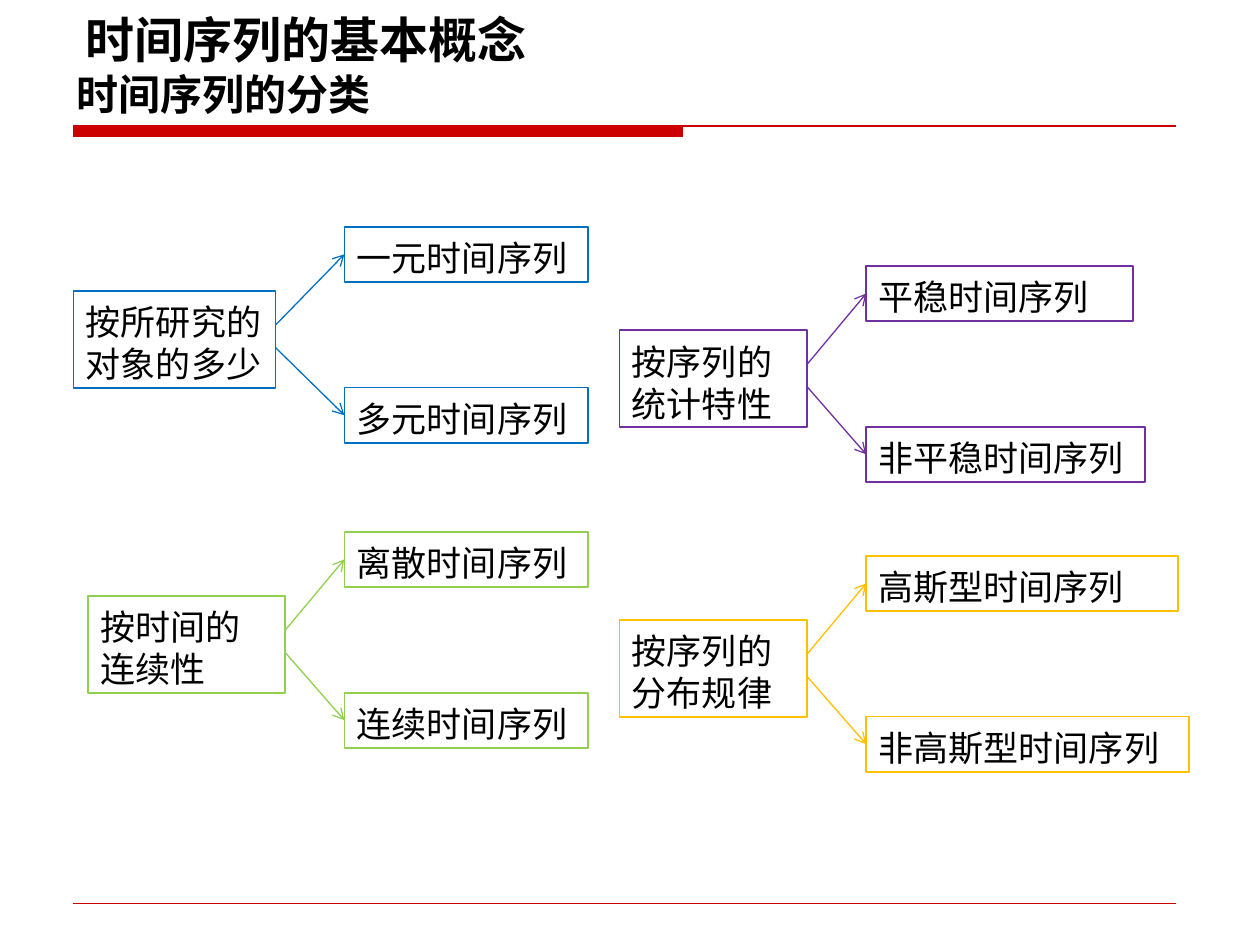
from dataclasses import dataclass

from lxml.etree import SubElement
from pptx import Presentation
from pptx.dml.color import RGBColor
from pptx.enum.shapes import MSO_CONNECTOR as Connector, MSO_SHAPE as Shape
from pptx.enum.text import MSO_ANCHOR as Anchor, PP_ALIGN as Align
from pptx.oxml.ns import qn
from pptx.util import Pt

FONT = "Noto Sans CJK SC"
BLACK = RGBColor(0x00, 0x00, 0x00)
RED = RGBColor(0xCC, 0x00, 0x00)
BLUE = RGBColor(0x00, 0x70, 0xC0)
GREEN = RGBColor(0x92, 0xD0, 0x50)
PURPLE = RGBColor(0x70, 0x30, 0xA0)
AMBER = RGBColor(0xFF, 0xC0, 0x00)

ROOT_HEIGHT, BRANCH_HEIGHT = 55.4, 31.5
LINE_PITCH = 24
# Offsets from the top of a root box: branch top, arrow start
BRANCH_OFFSETS = ((-36.7, 19.4), (55.2, 32.4))


@dataclass(frozen=True)
class Branch:
    text: str
    width: float


@dataclass(frozen=True)
class Classification:
    criterion: str
    color: RGBColor
    left: float
    top: float
    width: float
    branch_left: float
    branches: tuple[Branch, Branch]


CLASSIFICATIONS = (
    Classification("按所研究的对象的多少", BLUE, 42, 166.3, 115.5, 196.8,
                   (Branch("一元时间序列", 139.2), Branch("多元时间序列", 139.2))),
    Classification("按时间的连续性", GREEN, 50.5, 340.6, 112.6, 196.8,
                   (Branch("离散时间序列", 139.2), Branch("连续时间序列", 139.2))),
    Classification("按序列的统计特性", PURPLE, 354, 188.7, 107.3, 495,
                   (Branch("平稳时间序列", 152.6), Branch("非平稳时间序列", 159.2))),
    Classification("按序列的分布规律", AMBER, 354, 354.3, 107.3, 495,
                   (Branch("高斯型时间序列", 178), Branch("非高斯型时间序列", 184.5))),
)


def write_text(shape, text: str, size: float, bold: bool = False):
    """Fill the shape with one left-aligned paragraph and return it."""
    frame = shape.text_frame
    frame.word_wrap = True
    frame.text = text
    para = frame.paragraphs[0]
    para.alignment = Align.LEFT
    for span in para.runs:
        span.font.size = Pt(size)
        span.font.bold = bold
        span.font.name = FONT
        span.font.color.rgb = BLACK
        SubElement(span.font._element, qn("a:ea")).set("typeface", FONT)
    return para


def add_heading(page, text: str, left: float, top: float, width: float,
                height: float, size: float) -> None:
    box = page.shapes.add_textbox(Pt(left), Pt(top), Pt(width), Pt(height))
    write_text(box, text, size, bold=True)
    box.text_frame.vertical_anchor = Anchor.MIDDLE


def add_label_box(page, text: str, left: float, top: float, width: float,
                  height: float, color: RGBColor):
    box = page.shapes.add_shape(Shape.RECTANGLE, Pt(left), Pt(top), Pt(width), Pt(height))
    box.shadow.inherit = False
    box.fill.background()
    box.line.color.rgb = color
    box.line.width = Pt(1)
    write_text(box, text, 20).line_spacing = Pt(LINE_PITCH)
    frame = box.text_frame
    frame.vertical_anchor = Anchor.TOP
    frame.margin_top, frame.margin_bottom = Pt(5.6), Pt(1.6)
    return box


def add_line(page, start: tuple[float, float], end: tuple[float, float], color: RGBColor):
    line = page.shapes.add_connector(Connector.STRAIGHT, *map(Pt, start + end))
    line.line.color.rgb = color
    line.line.width = Pt(0.75)
    SubElement(line._element.spPr, qn("a:effectLst"))
    return line


def add_classification(page, group: Classification) -> None:
    """Draw a criterion box with an arrow to each of its two kinds of series."""
    add_label_box(page, group.criterion, group.left, group.top, group.width,
                  ROOT_HEIGHT, group.color)
    for branch, (branch_offset, start_offset) in zip(group.branches, BRANCH_OFFSETS):
        branch_top = group.top + branch_offset
        box = add_label_box(page, branch.text, group.branch_left, branch_top,
                            branch.width, BRANCH_HEIGHT, group.color)
        arrow = add_line(page, (group.left + group.width, group.top + start_offset),
                         (group.branch_left, branch_top + BRANCH_HEIGHT / 2), group.color)
        arrow.end_connect(box, 1)
        SubElement(arrow.line._get_or_add_ln(), qn("a:tailEnd")).set("type", "arrow")


def add_rules(page) -> None:
    for y in (72, 516.2):
        add_line(page, (42, y), (672, y), RED)
    bar = page.shapes.add_shape(Shape.RECTANGLE, Pt(42), Pt(72), Pt(348), Pt(6))
    bar.shadow.inherit = False
    bar.fill.solid()
    bar.fill.fore_color.rgb = RED
    bar.line.color.rgb = RED
    bar.line.width = Pt(0.75)


def main() -> None:
    deck = Presentation()
    deck.slide_width, deck.slide_height = Pt(720), Pt(540)
    page = deck.slides.add_slide(deck.slide_layouts[6])
    add_rules(page)
    add_heading(page, "时间序列的分类", 36.7, 36, 646.6, 35.3, 24)
    for group in CLASSIFICATIONS:
        add_classification(page, group)
    add_heading(page, "时间序列的基本概念", 42, 0, 440.6, 44.6, 28)
    deck.save("out.pptx")


if __name__ == "__main__":
    main()
